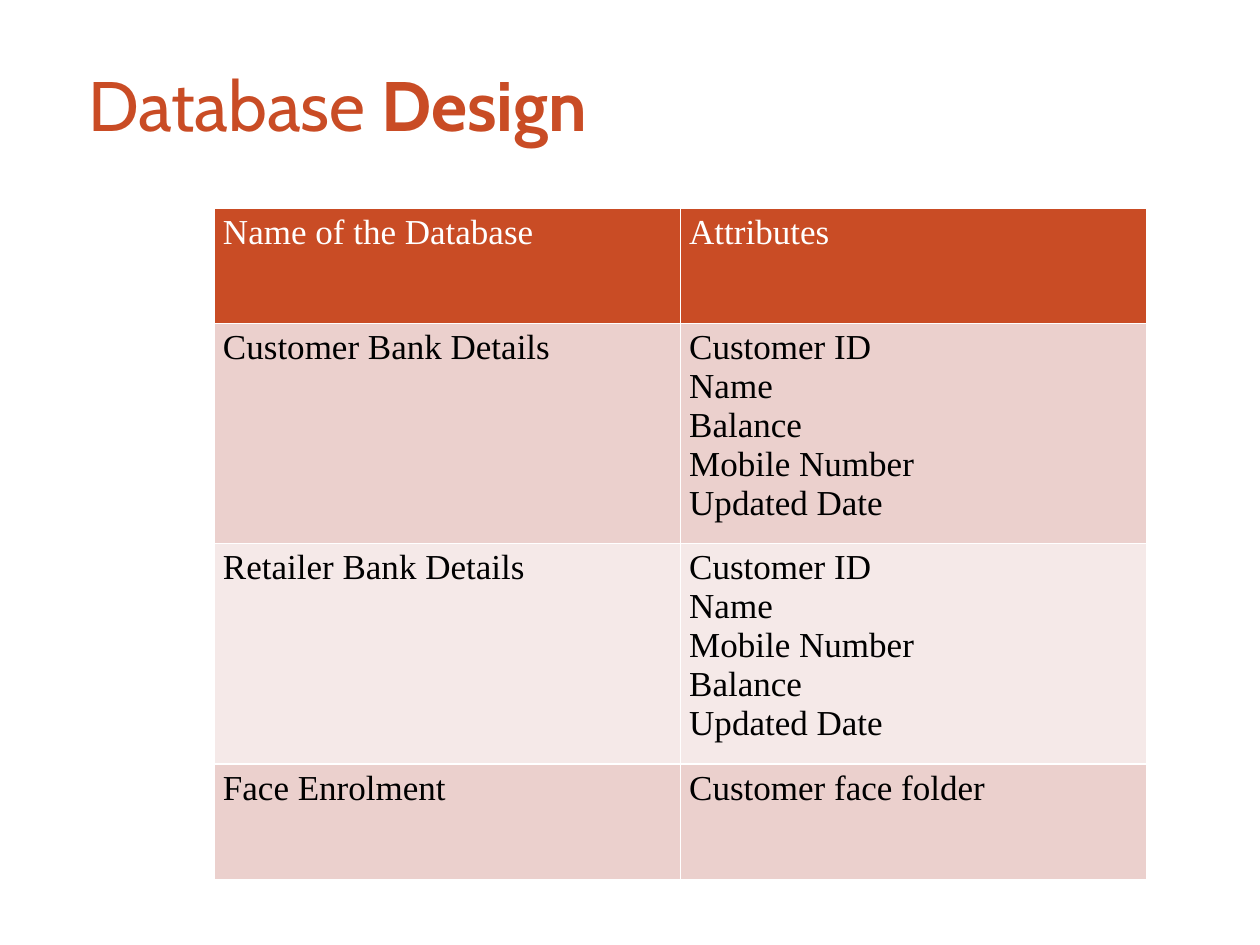
from lxml.etree import SubElement
from pptx import Presentation
from pptx.dml.color import RGBColor
from pptx.enum.text import MSO_ANCHOR
from pptx.oxml.ns import qn
from pptx.util import Inches, Pt

COLORS = {
    "accent": "C94C25",
    "white": "FFFFFF",
    "black": "000000",
    "dark_band": "EBD0CD",
    "light_band": "F5E9E8",
}
TITLE_FORMAT = {"name": "Cabin", "size": Pt(40)}
TABLE_FORMAT = {"name": "Times New Roman", "size": Pt(20)}
CELL_MARGINS = {
    "margin_left": Inches(0.07),
    "margin_right": Inches(0.07),
    "margin_top": Inches(0.04),
    "margin_bottom": Inches(0.04),
}
TITLE_FRAME = {
    "word_wrap": True,
    "vertical_anchor": MSO_ANCHOR.MIDDLE,
    "margin_left": Inches(0.2),
    "margin_right": 0,
    "margin_top": Inches(0.05),
    "margin_bottom": Inches(0.05),
}
HEADINGS = ("Name of the Database", ["Attributes"])
DATABASES = [
    ("Customer Bank Details",
     ["Customer ID", "Name", "Balance", "Mobile Number", "Updated Date"]),
    ("Retailer Bank Details",
     ["Customer ID", "Name", "Mobile Number", "Balance", "Updated Date"]),
    ("Face Enrolment", ["Customer face folder"]),
]
ROW_SHARES = [0.18, 0.32, 0.32, 0.18]


def rgb(color):
    return RGBColor.from_string(COLORS[color])


def apply(target, values):
    for attribute, value in values.items():
        setattr(target, attribute, value)


def add_run(paragraph, text, font_format, color):
    run = paragraph.add_run()
    run.text = text
    apply(run.font, font_format)
    run.font.color.rgb = rgb(color)


def add_title(slide, box):
    frame = slide.shapes.add_textbox(*box).text_frame
    apply(frame, TITLE_FRAME)
    heading = frame.paragraphs[0]
    for text, bold in (("Database", False), (" Design", True)):
        add_run(heading, text, TITLE_FORMAT | {"bold": bold}, "accent")


def add_borders(cell):
    """Rule all four sides in thin white, ahead of the fill as the schema asks."""
    properties = cell._tc.get_or_add_tcPr()
    for position, side in enumerate(("lnL", "lnR", "lnT", "lnB")):
        line = SubElement(properties, qn(f"a:{side}"), w=str(Pt(1)))
        fill = SubElement(line, qn("a:solidFill"))
        SubElement(fill, qn("a:srgbClr"), val=COLORS["white"])
        properties.insert(position, line)


def fill_cell(cell, lines, band, ink):
    apply(cell, CELL_MARGINS)
    cell.fill.solid()
    cell.fill.fore_color.rgb = rgb(band)
    add_borders(cell)
    frame = cell.text_frame
    for index, text in enumerate(lines):
        paragraph = frame.add_paragraph() if index else frame.paragraphs[0]
        add_run(paragraph, text, TABLE_FORMAT, ink)


def add_database_table(slide, box):
    height = box[3]
    records = [HEADINGS, *DATABASES]
    table = slide.shapes.add_table(len(records), 2, *box).table
    for index, (database, attributes) in enumerate(records):
        table.rows[index].height = int(height * ROW_SHARES[index])
        if index == 0:
            band, ink = "accent", "white"
        else:
            band, ink = ("dark_band" if index % 2 else "light_band"), "black"
        for column, lines in enumerate(([database], attributes)):
            fill_cell(table.cell(index, column), lines, band, ink)


def main():
    deck = Presentation()
    deck.slide_width, deck.slide_height = Inches(10), Inches(7.5)
    slide = deck.slides.add_slide(deck.slide_layouts[6])
    slide.background.fill.solid()
    slide.background.fill.fore_color.rgb = rgb("white")

    def region(left, top, width, height):
        """Turn shares of the slide's size into a box."""
        return (int(deck.slide_width * left), int(deck.slide_height * top),
                int(deck.slide_width * width), int(deck.slide_height * height))

    add_title(slide, region(0.05, 0.05, 0.53, 0.12))
    add_database_table(slide, region(0.17, 0.22, 0.74, 0.68))
    deck.save("out.pptx")


if __name__ == "__main__":
    main()
